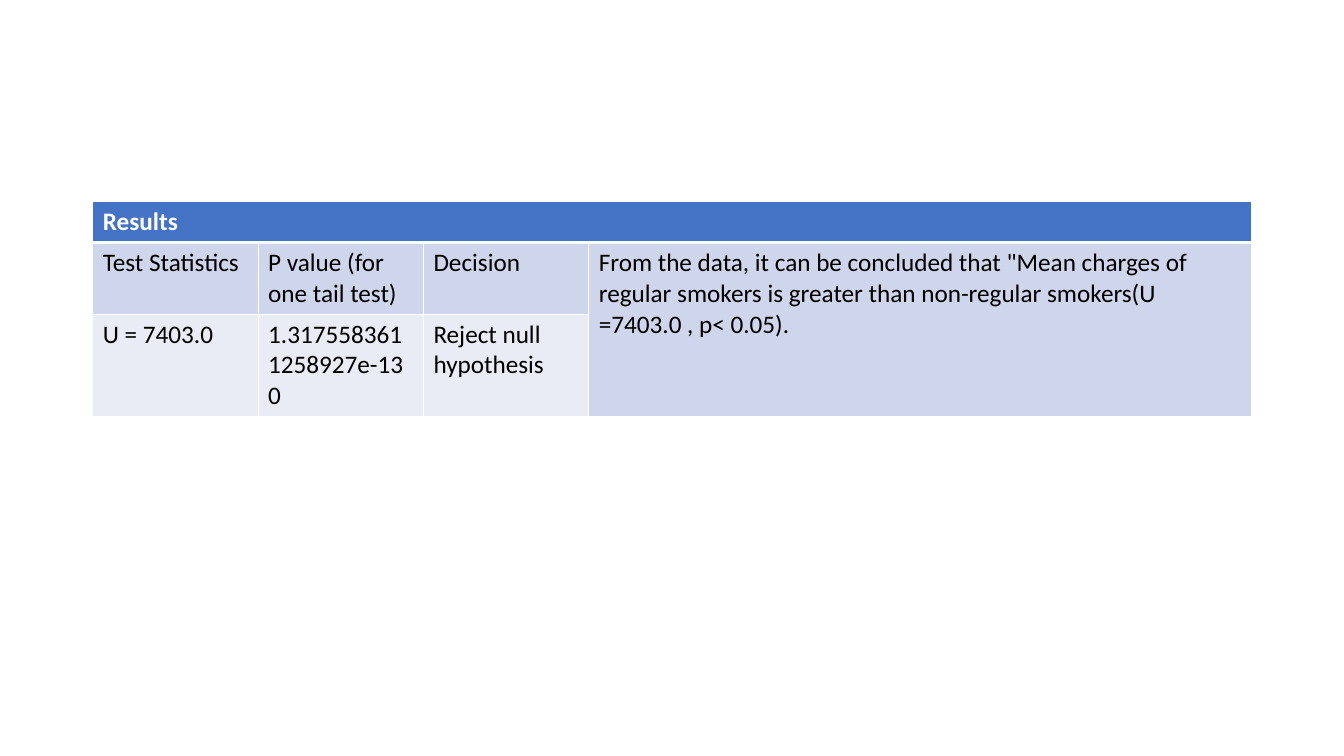
import lxml.etree
import pptx
import pptx.dml.color
import pptx.oxml.ns
import pptx.util

Inches = pptx.util.Inches
Pt = pptx.util.Pt


def colour(value):
    return pptx.dml.color.RGBColor.from_string(value)


class ResultsPage:
    """Holds the table style and the current slide."""

    font = "Calibri"
    size = 18
    rule = "FFFFFF"
    row_fills = ["4472C4", "CFD5EA", "E9EBF5"]

    def __init__(self, deck):
        self.page = deck.slides.add_slide(deck.slide_layouts[6])

    def border(self, cell, side, width):
        properties = cell._tc.get_or_add_tcPr()
        qualified = pptx.oxml.ns.qn
        line = lxml.etree.SubElement(properties, qualified(f"a:ln{side}"), w=str(Pt(width)))
        fill = lxml.etree.SubElement(line, qualified("a:solidFill"))
        lxml.etree.SubElement(fill, qualified("a:srgbClr"), val=self.rule)

    def cell(self, cell, text, row):
        header = row == 0
        widths = {"L": 1, "R": 1, "T": 3 if row == 1 else 1, "B": 3 if header else 1}
        for side, width in widths.items():
            self.border(cell, side, width)
        cell.fill.solid()
        cell.fill.fore_color.rgb = colour(self.row_fills[row])
        cell.text_frame.text = text
        for para in cell.text_frame.paragraphs:
            para.font.size = Pt(self.size)
            for span in para.runs:
                span.font.name = self.font
                span.font.size = Pt(self.size)
                span.font.bold = header
                span.font.color.rgb = colour("FFFFFF" if header else "000000")

    def table(self, left, top, columns, heights, rows, merges):
        frame = self.page.shapes.add_table(
            len(rows), len(columns), Inches(left), Inches(top),
            Inches(sum(columns)), Inches(sum(heights)))
        table = frame.table
        for column, width in zip(table.columns, columns):
            column.width = Inches(width)
        for row, height in zip(table.rows, heights):
            row.height = Inches(height)
        for row, texts in enumerate(rows):
            for column, text in enumerate(texts):
                self.cell(table.cell(row, column), text, row)
        for first, last in merges:
            table.cell(*first).merge(table.cell(*last))


def main():
    deck = pptx.Presentation()
    deck.slide_width = Inches(13.33)
    deck.slide_height = Inches(7.5)
    conclusion = ('From the data, it can be concluded that "Mean charges of regular smokers '
                  'is greater than non-regular smokers(U =7403.0 , p< 0.05).')
    ResultsPage(deck).table(
        0.92, 2, [1.64, 1.64, 1.64, 6.57], [0.4, 0.7, 1.01],
        [["Results", "", "", ""],
         ["Test Statistics", "P value (for one tail test)", "Decision", conclusion],
         ["U = 7403.0", "1.3175583611258927e-130", "Reject null hypothesis", ""]],
        [((0, 0), (0, 3)), ((1, 3), (2, 3))])
    deck.save("out.pptx")


if __name__ == "__main__":
    main()
